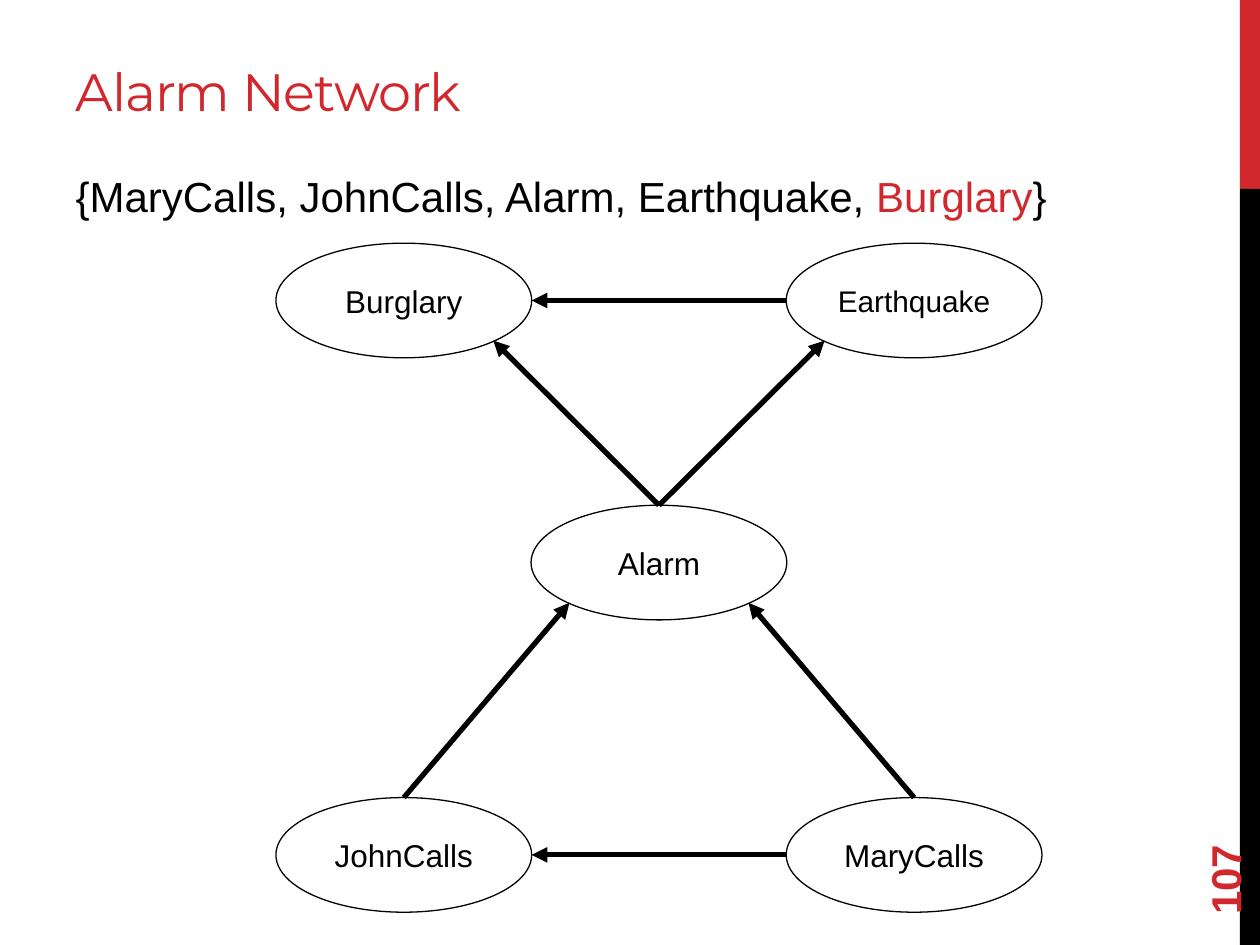
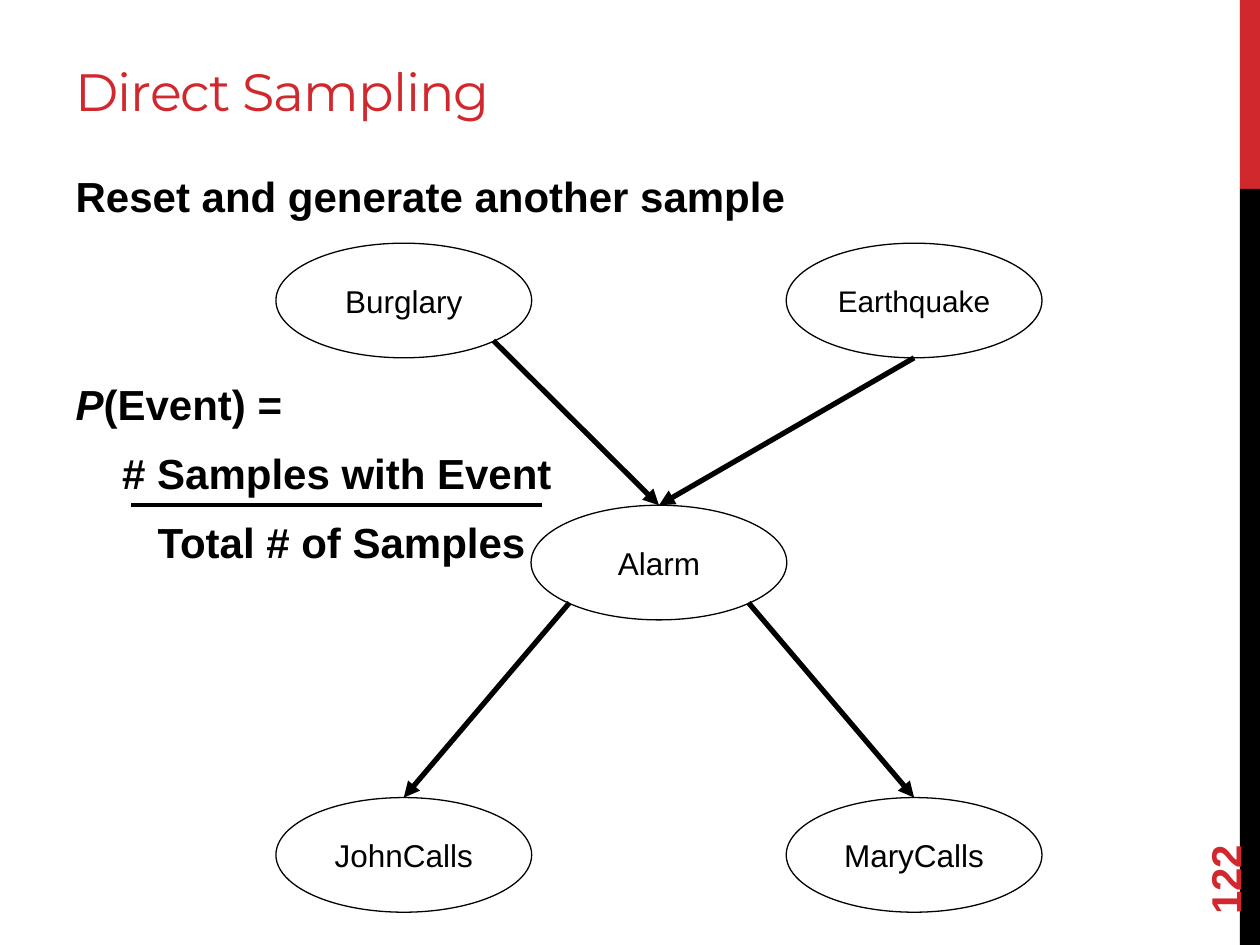
"""Build two slides about the alarm belief network and direct sampling."""
from pptx import Presentation
from pptx.dml.color import RGBColor
from pptx.enum.shapes import MSO_CONNECTOR as CONN, MSO_SHAPE as SHAPE
from pptx.enum.text import MSO_ANCHOR as ANCHOR, MSO_AUTO_SIZE as AUTO, PP_ALIGN as ALIGN
from pptx.oxml.ns import qn
from pptx.util import Inches, Pt

RED = RGBColor(0xD1, 0x28, 0x2E)
BLACK = RGBColor(0, 0, 0)

prs = Presentation()
prs.slide_width, prs.slide_height = Inches(10), Inches(7.5)
W, H = prs.slide_width, prs.slide_height

BAND_X, BAND_SPLIT = 0.984 * W, 0.2 * H
TEXT_X, TEXT_W = 0.05 * W, 0.884 * W
COL_X, COL_STEP = Inches(2.19), Inches(4.05) // 2
OVAL_W, OVAL_H = Inches(2.03), Inches(0.91)
ROWS = [Inches(1.93), Inches(4.01), Inches(6.33)]

NODES = {"Burglary": (0, 0, 18), "Earthquake": (2, 0, 17), "Alarm": (1, 1, 18),
         "JohnCalls": (0, 2, 18), "MaryCalls": (2, 2, 18)}
SITES = {"top": (0.5, 0), "left": (0, 0.5), "right": (1, 0.5), "bottom": (0.5, 1),
         "bottom left": (0.15, 0.85), "bottom right": (0.85, 0.85)}

SLIDES = [
    ("Alarm Network", "107",
     [(0, 0, False, [("{MaryCalls, JohnCalls, Alarm, Earthquake, ", BLACK, False),
                     ("Burglary", RED, False), ("}", BLACK, False)])],
     [("MaryCalls", "left", "JohnCalls", "right"),
      ("JohnCalls", "top", "Alarm", "bottom left"),
      ("MaryCalls", "top", "Alarm", "bottom right"),
      ("Alarm", "top", "Earthquake", "bottom left"),
      ("Alarm", "top", "Burglary", "bottom right"),
      ("Earthquake", "left", "Burglary", "right")]),
    ("Direct Sampling", "122",
     [(0, 0, True, [("Reset and generate another sample", BLACK, False)]),
      (90, 0, True, [("P", BLACK, True), ("(Event) =", BLACK, False)]),
      (10.8, 0.37, True, [("# Samples with Event", BLACK, False)]),
      (10.8, 0.65, True, [("Total # of Samples", BLACK, False)])],
     [("Alarm", "bottom left", "JohnCalls", "top"),
      ("Alarm", "bottom right", "MaryCalls", "top"),
      ("Burglary", "bottom right", "Alarm", "top"),
      ("Earthquake", "bottom", "Alarm", "top")]),
]


def add_line(s, x1, y1, x2, y2, width):
    c = s.shapes.add_connector(CONN.STRAIGHT, int(x1), int(y1), int(x2), int(y2))
    c.line.color.rgb = BLACK
    c.line.width = Pt(width)
    c._element.spPr.append(c._element.makeelement(qn("a:effectLst"), {}))
    return c


def set_font(r, name, size, color, bold=False, italic=False):
    r.font.name, r.font.size, r.font.color.rgb = name, Pt(size), color
    r.font.bold, r.font.italic = bold, italic


for title, number, paragraphs, arrows in SLIDES:
    s = prs.slides.add_slide(prs.slide_layouts[1])

    for top, height, color in [(0, BAND_SPLIT, RED), (BAND_SPLIT, H - BAND_SPLIT, BLACK)]:
        sp = s.shapes.add_shape(SHAPE.RECTANGLE, int(BAND_X), int(top), int(W - BAND_X), int(height))
        sp.shadow.inherit = False
        sp.fill.solid()
        sp.fill.fore_color.rgb = color
        sp.line.fill.background()

    sp = s.shapes.title
    sp.left, sp.top, sp.width, sp.height = int(TEXT_X), Inches(0.17), int(TEXT_W), Inches(0.85)
    tf = sp.text_frame
    tf.text = title
    tf.vertical_anchor, tf.auto_size = ANCHOR.BOTTOM, AUTO.NONE
    p = tf.paragraphs[0]
    p.alignment = ALIGN.LEFT
    set_font(p.runs[0], "Montserrat", 30, RED)
    p.runs[0]._r.get_or_add_rPr().set("spc", "-60")

    sp = s.placeholders[1]
    sp.left, sp.top, sp.width, sp.height = int(TEXT_X), Inches(1.3), int(TEXT_W), Inches(6.05)
    tf = sp.text_frame
    tf.auto_size, tf.margin_top = AUTO.NONE, Inches(0.05)
    for i, (before, indent, bold, runs) in enumerate(paragraphs):
        p = tf.add_paragraph() if i else tf.paragraphs[0]
        pPr = p._p.get_or_add_pPr()
        pPr.set("marL", str(Inches(indent)))
        pPr.set("indent", "0")
        pPr.append(pPr.makeelement(qn("a:buNone"), {}))
        p.space_before = Pt(before)
        for text, color, italic in runs:
            r = p.add_run()
            r.text = text
            set_font(r, "Arial", 24, color, bold, italic)

    sp = s.shapes.add_textbox(Inches(9), Inches(6.44), Inches(1.44), Inches(0.4))
    sp.rotation = 270
    tf = sp.text_frame
    tf.word_wrap, tf.vertical_anchor = True, ANCHOR.MIDDLE
    tf.text = number
    set_font(tf.paragraphs[0].runs[0], "Arial", 24, RED, True)

    ovals = {}
    for name, (col, row, size) in NODES.items():
        sp = s.shapes.add_shape(SHAPE.OVAL, COL_X + col * COL_STEP, ROWS[row], OVAL_W, OVAL_H)
        sp.shadow.inherit = False
        sp.fill.background()
        sp.line.color.rgb, sp.line.width = BLACK, Pt(0.75)
        tf = sp.text_frame
        tf.text = name
        tf.word_wrap, tf.vertical_anchor = True, ANCHOR.MIDDLE
        tf.margin_top = tf.margin_bottom = Inches(0.1)
        tf.paragraphs[0].alignment = ALIGN.CENTER
        set_font(tf.paragraphs[0].runs[0], "Arial", size, BLACK)
        ovals[name] = sp

    for start, start_site, end, end_site in arrows:
        a, b = ovals[start], ovals[end]
        (ax, ay), (bx, by) = SITES[start_site], SITES[end_site]
        c = add_line(s, a.left + ax * a.width, a.top + ay * a.height,
                     b.left + bx * b.width, b.top + by * b.height, 3)
        ln = c.line._get_or_add_ln()
        ln.append(ln.makeelement(qn("a:tailEnd"), {"type": "triangle"}))
        if start_site == "top":
            c.begin_connect(a, 0)
        if end_site == "top":
            c.end_connect(b, 0)

    if title == "Direct Sampling":
        add_line(s, 0.104 * W, ROWS[1], 0.43 * W, ROWS[1], 2.25)

prs.save("out.pptx")
